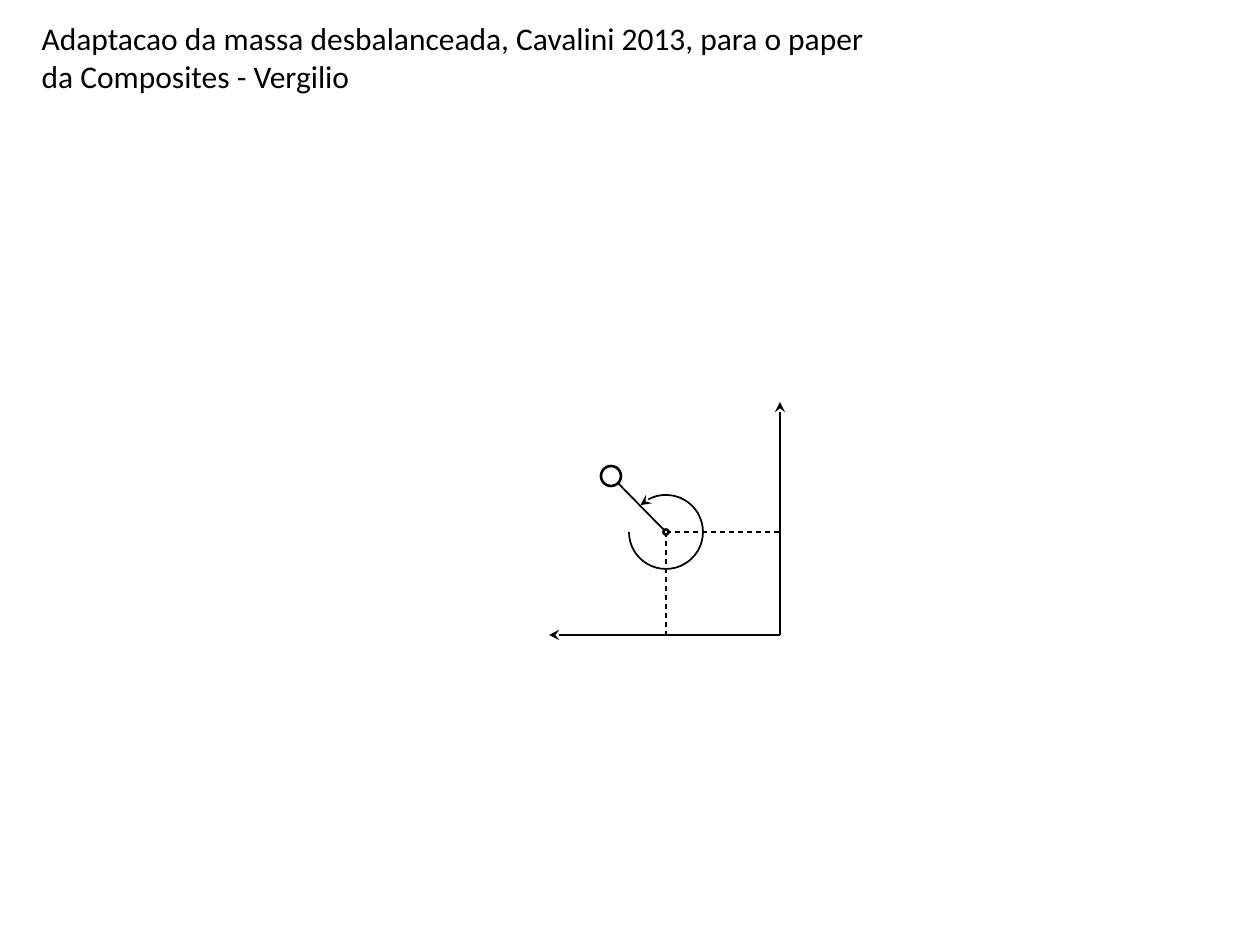
from lxml import etree
from pptx import Presentation
from pptx.dml.color import RGBColor
from pptx.enum.dml import MSO_LINE
from pptx.enum.shapes import MSO_CONNECTOR, MSO_SHAPE
from pptx.enum.text import MSO_ANCHOR, MSO_AUTO_SIZE, PP_ALIGN
from pptx.oxml.ns import qn
from pptx.util import Emu, Pt

PX_PER_INCH = 126
COLORS = {"ink": "000000", "paper": "FFFFFF"}
HEADING = (
    "Adaptacao da massa desbalanceada, Cavalini 2013, para o paper",
    "da Composites - Vergilio",
)
HEADING_FRAME = {
    "word_wrap": True,
    "auto_size": MSO_AUTO_SIZE.NONE,
    "vertical_anchor": MSO_ANCHOR.TOP,
}
HEADING_FONT = {"name": "Calibri", "size": Pt(18), "bold": False}
ORIGIN = (780, 635)
HUB = (666, 532)
MASS = (611, 476)
AXIS_TIPS = ((549, ORIGIN[1]), (ORIGIN[0], 402))
ANGLE_START, ANGLE_END = 226.5, 180.2
ARC_UNITS_PER_DEGREE = 0.6


def px(length):
    """Turn pixels into EMU."""
    return Emu(round(length * 914400 / PX_PER_INCH))


def color(key):
    """Look up a palette colour."""
    return RGBColor.from_string(COLORS[key])


def apply_format(target, values):
    """Set every attribute named in a dict."""
    for attribute, value in values.items():
        setattr(target, attribute, value)


def style_line(line, width, dash=None, arrow_end=None):
    """Draw a black line with an optional dash and stealth arrowhead."""
    line.color.rgb = color("ink")
    line.width = Pt(width)
    if dash:
        line.dash_style = dash
    if arrow_end:
        outline = line._get_or_add_ln()
        etree.SubElement(outline, qn(f"a:{arrow_end}"), type="stealth")


def add_heading(slide):
    """Move the title placeholder and write its two lines."""
    heading = slide.shapes.title
    box = dict(zip(("left", "top", "width", "height"), map(px, (29, 13, 864, 89))))
    apply_format(heading, box)
    frame = heading.text_frame
    frame.text = "\n".join(HEADING)
    apply_format(frame, HEADING_FRAME)
    for paragraph in frame.paragraphs:
        paragraph.alignment = PP_ALIGN.LEFT
        apply_format(paragraph.font, HEADING_FONT)
        paragraph.font.color.rgb = color("ink")


def add_segment(shapes, start, end, width=0.75, **line_style):
    """Join two points with a straight line."""
    segment = shapes.add_connector(MSO_CONNECTOR.STRAIGHT, *map(px, (*start, *end)))
    style_line(segment.line, width, **line_style)
    etree.SubElement(segment._element.spPr, qn("a:effectLst"))


def add_round(shapes, preset, center, diameter, width, fill=None, **line_style):
    """Centre a round shape on a point."""
    left, top = (coordinate - diameter / 2 for coordinate in center)
    outline = shapes.add_shape(preset, *map(px, (left, top, diameter, diameter)))
    outline.shadow.inherit = False
    if fill:
        outline.fill.solid()
        outline.fill.fore_color.rgb = color(fill)
    else:
        outline.fill.background()
    style_line(outline.line, width, **line_style)
    return outline


def add_diagram(slide):
    """Draw the axes, the projections and the unbalanced mass."""
    shapes = slide.shapes.add_group_shape().shapes
    for tip in AXIS_TIPS:
        add_segment(shapes, ORIGIN, tip, arrow_end="tailEnd")
    for foot in ((HUB[0], ORIGIN[1]), (ORIGIN[0], HUB[1])):
        add_segment(shapes, HUB, foot, dash=MSO_LINE.DASH)
    add_segment(shapes, HUB, MASS, width=1)
    add_round(shapes, MSO_SHAPE.OVAL, MASS, 20, 1.5, "paper")
    rotation = add_round(shapes, MSO_SHAPE.ARC, HUB, 74, 1, arrow_end="headEnd")
    for index, angle in enumerate((ANGLE_START, ANGLE_END)):
        rotation.adjustments[index] = angle * ARC_UNITS_PER_DEGREE
    add_round(shapes, MSO_SHAPE.OVAL, HUB, 5, 1.5, "paper")


def main():
    """Build and save the slide."""
    presentation = Presentation()
    apply_format(presentation, {"slide_width": px(1260), "slide_height": px(945)})
    slide = presentation.slides.add_slide(presentation.slide_layouts[5])
    add_heading(slide)
    add_diagram(slide)
    presentation.save("out.pptx")


if __name__ == "__main__":
    main()
